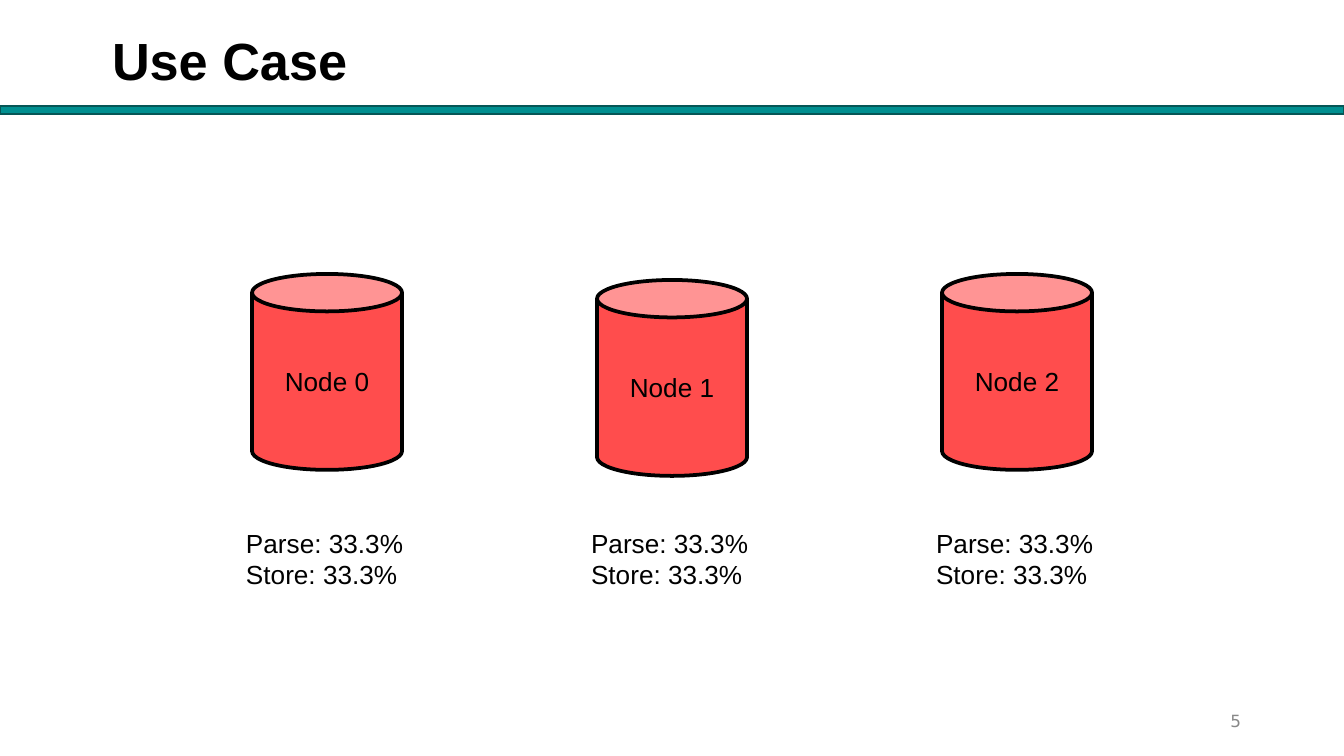
from pptx import Presentation
from pptx.dml.color import RGBColor
from pptx.enum.shapes import MSO_SHAPE as Shape
from pptx.enum.text import MSO_ANCHOR as Anchor, MSO_AUTO_SIZE as Fit, PP_ALIGN as Align
from pptx.util import Emu, Pt

BLACK = RGBColor(0x00, 0x00, 0x00)
GRAY = RGBColor(0x88, 0x88, 0x88)
TEAL = RGBColor(0x00, 0x8F, 0x90)
DARK = RGBColor(0x06, 0x56, 0x56)
RED = RGBColor(0xFF, 0x4D, 0x4D)

WIDE, HIGH = 1344, 756
STEP = 345
TOPS = (274, 280, 274)
SHARES = ("Parse: 33.3%", "Store: 33.3%")


def px(num):
    """Turn px, at 134.4 to the inch, into EMU."""
    return Emu(round(num * 914400 / 134.4))


def write(shape, *lines, size=14, color=BLACK, font="Arial", bold=False,
          align=Align.LEFT, anchor=Anchor.TOP, pad=(13, 7)):
    """Fill a shape with one paragraph per line; pad is (side, top) in px."""
    frame = shape.text_frame
    frame.word_wrap = True
    frame.auto_size = Fit.NONE
    frame.vertical_anchor = anchor
    frame.margin_left = frame.margin_right = px(pad[0])
    frame.margin_top = frame.margin_bottom = px(pad[1])
    frame.text = "\n".join(lines)
    for para in frame.paragraphs:
        para.alignment = align
        for run in para.runs:
            run.font.size = Pt(size)
            run.font.name = font
            run.font.bold = bold
            run.font.color.rgb = color


def add_title(slide, text):
    title = slide.shapes.title
    title.left, title.top, title.width, title.height = map(px, (102, 23, 395, 67))
    write(title, text, size=28, bold=True, pad=(10, 5))


def add_box(slide, area, *lines, **style):
    box = slide.shapes.add_textbox(*map(px, area))
    write(box, *lines, **style)


def add_form(slide, kind, area, fill, line, width):
    form = slide.shapes.add_shape(kind, *map(px, area))
    form.shadow.inherit = False
    form.fill.solid()
    form.fill.fore_color.rgb = fill
    form.line.color.rgb = line
    form.line.width = Pt(width)
    return form


def add_node(slide, num, top):
    """Draw a node's can, with its shares of the work below."""
    mid = WIDE // 2 + (num - 1) * STEP
    can = add_form(slide, Shape.CAN, (mid - 75, top, 150, 196), RED, BLACK, 2)
    write(can, f"Node {num}", align=Align.CENTER, anchor=Anchor.MIDDLE)
    add_box(slide, (mid - 94, 520, 188, 77), *SHARES)


def main():
    deck = Presentation()
    deck.slide_width, deck.slide_height = px(WIDE), px(HIGH)
    slide = deck.slides.add_slide(deck.slide_layouts[5])
    add_title(slide, "Use Case")
    add_form(slide, Shape.RECTANGLE, (0, 106, WIDE, 8), TEAL, DARK, 1)
    for num, top in enumerate(TOPS):
        add_node(slide, num, top)
    add_box(slide, (949, 700, 302, 41), "5", size=9, color=GRAY, font="DejaVu Sans",
            align=Align.RIGHT, anchor=Anchor.MIDDLE, pad=(10, 5))
    deck.save("out.pptx")


if __name__ == "__main__":
    main()
